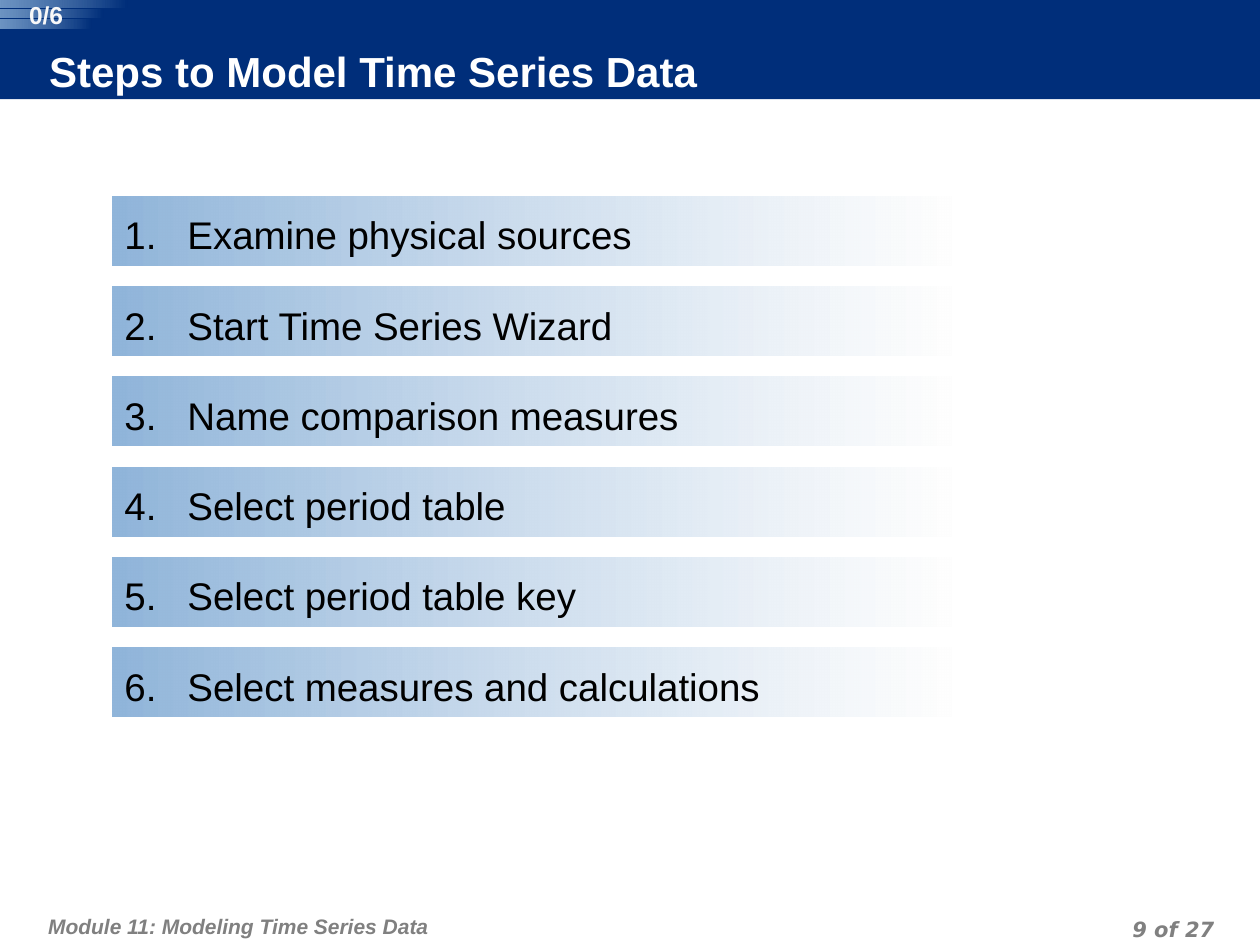
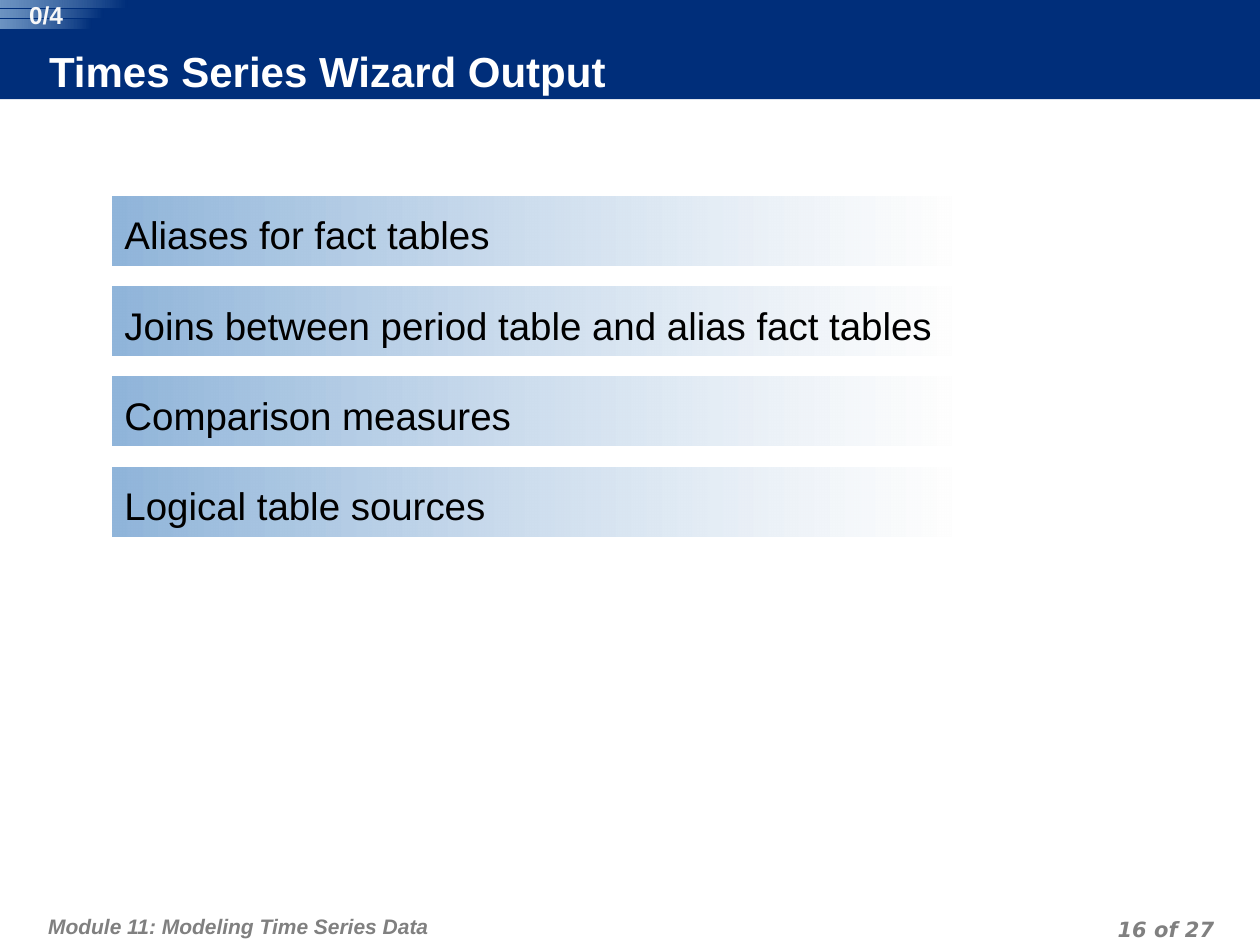
from dataclasses import dataclass

from lxml.etree import SubElement
from pptx import Presentation
from pptx.dml.color import RGBColor
from pptx.enum.shapes import MSO_SHAPE as Preset
from pptx.enum.text import MSO_ANCHOR as Anchor, MSO_AUTO_SIZE as AutoSize, PP_ALIGN as Align
from pptx.oxml.ns import qn
from pptx.util import Cm, Pt


@dataclass(frozen=True)
class Theme:
    navy: str = "002E7A"
    sky: str = "90B5DA"
    fade: str = "FEFEFE"
    white: str = "FFFFFF"
    counter: str = "F8F8F8"
    gray: str = "808080"
    black: str = "000000"
    font: str = "Arial"
    number_font: str = "DejaVu Sans"
    title_size: int = 24
    item_size: int = 22
    counter_size: int = 14
    footer_size: int = 12


theme = Theme()

# Insets are left, top, right, bottom in centimetres
TITLE = {"insets": (0, 0, 0.13, 0.13), "anchor": Anchor.MIDDLE, "paragraph": {"alignment": Align.LEFT},
         "font": {"name": theme.font, "size": Pt(theme.title_size), "bold": True}, "color": theme.white}
ITEM = {"insets": (0.25, 0.3, 0.25, 0.13), "anchor": Anchor.TOP, "paragraph": {"alignment": Align.LEFT},
        "font": {"name": theme.font, "size": Pt(theme.item_size)}, "color": theme.black}
COUNTER = {"insets": (0, 0, 0, 0), "anchor": Anchor.TOP, "paragraph": {"alignment": Align.CENTER},
           "font": {"name": theme.font, "size": Pt(theme.counter_size), "bold": True}, "color": theme.counter}
FOOTER = {"insets": (0.13, 0.25, 0.13, 0.13), "anchor": Anchor.TOP,
          "paragraph": {"alignment": Align.LEFT, "line_spacing": Pt(18)},
          "font": {"name": theme.font, "size": Pt(theme.footer_size), "bold": True, "italic": True},
          "color": theme.gray}
PAGE_NUMBER = {**FOOTER, "insets": (0.13, 0, 0.13, 0),
               "paragraph": {**FOOTER["paragraph"], "alignment": Align.RIGHT},
               "font": {**FOOTER["font"], "name": theme.number_font}}

MODULE = "Module 11: Modeling Time Series Data"
PAGE_COUNT = 27
PAGES = [
    {"title": "Steps to Model Time Series Data", "page": 9, "numbered": True,
     "items": ["Examine physical sources", "Start Time Series Wizard", "Name comparison measures",
               "Select period table", "Select period table key", "Select measures and calculations"]},
    {"title": "Times Series Wizard Output", "page": 16, "numbered": False,
     "items": ["Aliases for fact tables", "Joins between period table and alias fact tables",
               "Comparison measures", "Logical table sources"]},
]
BAR_LEFT, BAR_TOP, BAR_WIDTH, BAR_HEIGHT, BAR_PITCH = 2.26, 3.96, 16.92, 1.39, 1.82
STRIPES = [(0, 2.57, 0.15), (0.2, 2.08, 0.15), (0.4, 1.85, 0.18)]  # top, width, height


def write_text(shape, text, style):
    """Fill the shape with one styled paragraph and return it."""
    frame = shape.text_frame
    sides = ("margin_left", "margin_top", "margin_right", "margin_bottom")
    settings = dict(zip(sides, map(Cm, style["insets"])))
    settings.update(word_wrap=True, auto_size=AutoSize.NONE, vertical_anchor=style["anchor"])
    paragraph = frame.paragraphs[0]
    run = paragraph.add_run()
    run.text = text
    for target, values in ((frame, settings), (paragraph, style["paragraph"]), (run.font, style["font"])):
        for name, value in values.items():
            setattr(target, name, value)
    run.font.color.rgb = RGBColor.from_string(style["color"])
    return paragraph


def add_fading_bar(shapes, left, top, width, height, stops):
    """Add a bar whose (color, opacity percent) stops run from right to left."""
    bar = shapes.add_shape(Preset.RECTANGLE, Cm(left), Cm(top), Cm(width), Cm(height))
    bar.shadow.inherit = False
    bar.line.fill.background()
    bar.fill.gradient()
    bar.fill.gradient_angle = 180
    for position, (stop, (color, _)) in enumerate(zip(bar.fill.gradient_stops, stops)):
        stop.position = position
        stop.color.rgb = RGBColor.from_string(color)
    for element, (_, opacity) in zip(bar.element.iter(qn("a:srgbClr")), stops):
        SubElement(element, qn("a:alpha")).set("val", str(opacity * 1000))
    return bar


presentation = Presentation()
presentation.slide_width, presentation.slide_height = Cm(25.4), Cm(19.05)
layout = presentation.slide_layouts[5]
slides = [presentation.slides.add_slide(layout) for _ in PAGES]

# Band and module footer are made on a slide, then moved to the shared layout
shapes = slides[0].shapes
band = shapes.add_shape(Preset.RECTANGLE, 0, 0, Cm(25.4), Cm(2))
band.shadow.inherit = False
band.fill.solid()
band.fill.fore_color.rgb = RGBColor.from_string(theme.navy)
band.line.fill.background()
footer = shapes.add_textbox(Cm(0.84), Cm(18.03), Cm(15.7), Cm(1.02))
write_text(footer, MODULE, FOOTER)
for offset, shape in enumerate((band, footer)):
    shape.element.xpath(".//p:cNvPr")[0].set("id", str(100 + offset))
    layout.shapes.element.insert(2 + offset, shape.element)

for slide, page in zip(slides, PAGES):
    shapes = slide.shapes
    title = shapes.title
    title.left, title.top, title.width, title.height = Cm(0.99), Cm(0.97), Cm(19.99), Cm(1.02)
    title.fill.solid()
    title.fill.fore_color.rgb = RGBColor.from_string(theme.navy)
    write_text(title, page["title"], TITLE)

    for index, item in enumerate(page["items"]):
        bar = add_fading_bar(shapes, BAR_LEFT, BAR_TOP + index * BAR_PITCH, BAR_WIDTH, BAR_HEIGHT,
                             [(theme.fade, 75), (theme.sky, 100)])
        paragraph = write_text(bar, item, ITEM)
        if page["numbered"]:
            properties = paragraph._p.get_or_add_pPr()
            properties.set("marL", str(Cm(1.27)))
            properties.set("indent", str(-Cm(1.27)))
            number = SubElement(properties, qn("a:buAutoNum"))
            number.set("type", "arabicPeriod")
            number.set("startAt", str(index + 1))

    badge = shapes.add_group_shape().shapes
    for top, width, height in STRIPES:
        add_fading_bar(badge, 0, top, width, height, [(theme.navy, 100), (theme.sky, 76)])
    counter = badge.add_textbox(Cm(0.28), 0, Cm(1.3), Cm(0.58))
    write_text(counter, f"0/{len(page['items'])}", COUNTER)

    page_number = shapes.add_textbox(Cm(18.69), Cm(18.34), Cm(5.92), Cm(0.64))
    write_text(page_number, f"{page['page']} of {PAGE_COUNT}", PAGE_NUMBER)

presentation.save("out.pptx")
